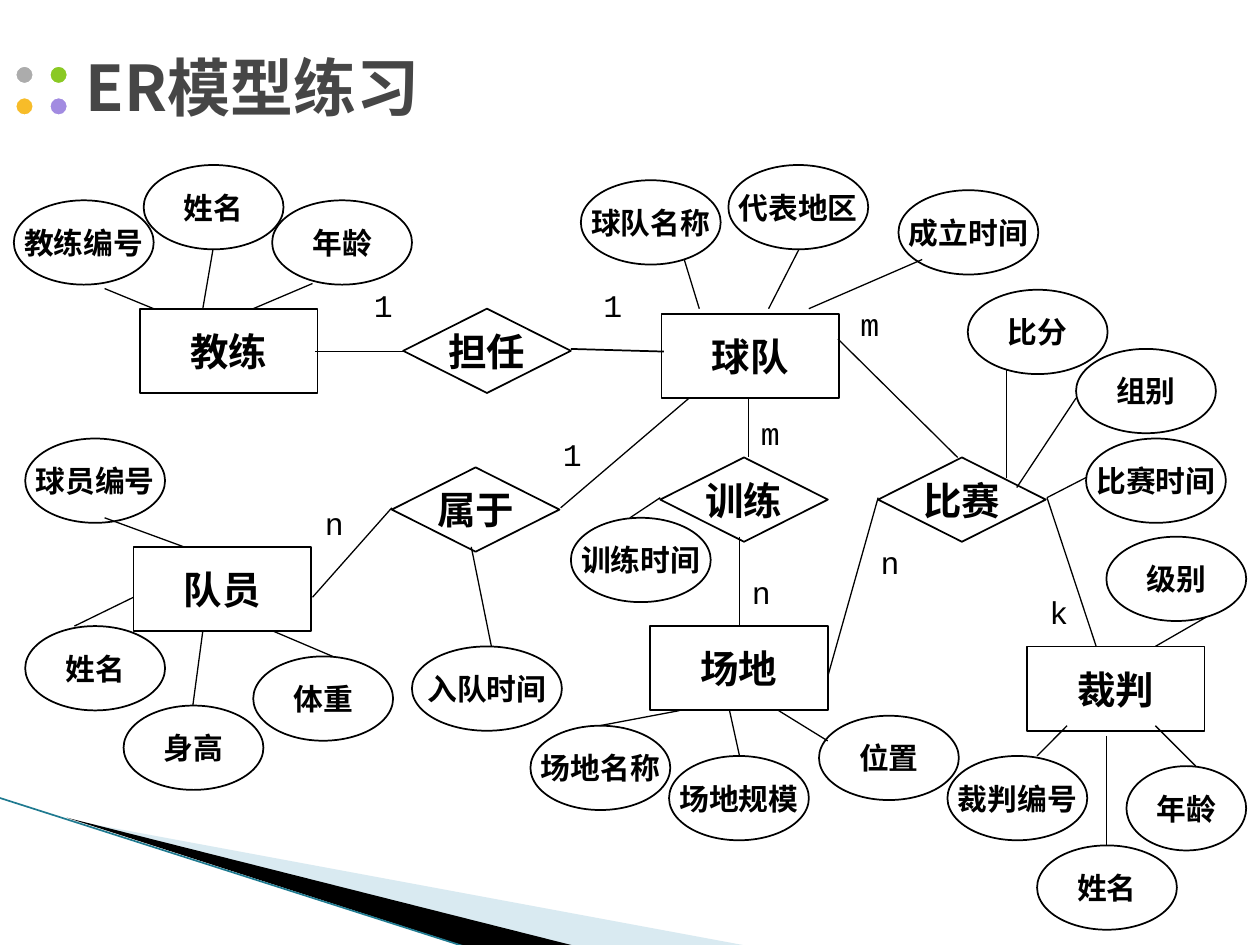
from lxml.etree import SubElement as Sub
from pptx import Presentation
from pptx.dml.color import RGBColor as RGB
from pptx.enum.shapes import MSO_CONNECTOR as Conn, MSO_SHAPE as Kind
from pptx.enum.text import MSO_ANCHOR as Anchor, PP_ALIGN as Align
from pptx.oxml.ns import qn
from pptx.util import Pt

INK = {
    "black": "000000", "white": "FFFFFF", "title": "464646",
    "pale": "A0CBDC", "edge": "1F7A90", "gray": "ACACAC",
    "green": "8AC923", "gold": "F7BC29", "violet": "A28BE1",
}
SANS = "Noto Sans CJK SC"
MONO = "Courier New"

ENTITIES = [
    ("教练", 79.9, 176.4), ("球队", 378, 179.3), ("队员", 76.3, 312.5),
    ("场地", 371.5, 357.8), ("裁判", 586.8, 369.4),
]
RELATIONS = [
    ("担任", 230.4, 176.4), ("属于", 223.9, 267.1),
    ("训练", 377.3, 261.4), ("比赛", 501.8, 261.4),
]
FIELDS = [
    ("教练编号", 7.9, 114.5), ("姓名", 82.1, 94.3), ("年龄", 155.5, 114.5),
    ("球队名称", 331.9, 103), ("代表地区", 416.2, 94.3),
    ("成立时间", 513.4, 108.7), ("球员编号", 14.4, 250.6),
    ("姓名", 14.4, 357.8), ("身高", 70.6, 403.2), ("体重", 144.7, 375.1),
    ("入队时间", 235.4, 369.4, 85.7), ("训练时间", 326.2, 295.9),
    ("场地名称", 303.1, 414.7), ("场地规模", 382.3, 432),
    ("位置", 468, 409), ("级别", 632.2, 306.7), ("裁判编号", 541.4, 432),
    ("姓名", 592.6, 483.1), ("年龄", 643.7, 437.8, 68.4),
    ("比分", 553, 165.6), ("组别", 614.9, 199.4), ("比赛时间", 620.6, 250.6),
]
MAIN_LINKS = [(230.4, 200.9, 180, 200.9), (326.2, 199.4, 379.4, 200.9)]
LINKS = [
    (87.8, 176.4, 59.8, 164.9), (121.7, 142.6, 115.9, 176.4),
    (178.6, 162, 144.7, 176.4), (391, 148.3, 399.6, 176.4),
    (456.5, 142.6, 439.2, 176.4), (462.2, 176.4, 527, 148.3),
    (178.6, 341.3, 223.9, 290.2), (320.4, 290.2, 393.8, 227.5),
    (427.7, 227.5, 427.7, 261.4), (422.6, 306.7, 422.6, 357.8),
    (478.8, 193.7, 547.2, 261.4), (501.8, 284.4, 473, 386.6),
    (598.3, 284.4, 626.4, 369.4), (105.1, 312.5, 59.8, 295.9),
    (76.3, 341.3, 42.5, 357.8), (115.9, 360.7, 110.2, 403.2),
    (156.2, 360.7, 190.1, 375.1), (269.3, 312.5, 280.8, 369.4),
    (377.3, 284.4, 360, 295.9), (388.1, 406.1, 342.7, 414.7),
    (416.9, 406.1, 422.6, 432), (445, 406.1, 473, 423.4),
    (689, 352.8, 660.2, 369.4), (609.8, 414.7, 592.6, 432),
    (632.2, 420.5, 632.2, 483.1), (660.2, 414.7, 683.3, 437.8),
    (575.3, 211, 575.3, 272.9), (614.9, 227.5, 581, 278.6),
    (620.6, 272.9, 598.3, 284.4),
]
COUNTS = [
    ("m", 427.7, 233.3), ("n", 422.6, 324), ("m", 484.6, 170.6),
    ("n", 496.1, 306.7), ("k", 592.6, 335.5), ("1", 337.7, 159.8),
    ("1", 206.6, 159.8), ("n", 178.6, 284.4), ("1", 314.6, 244.8),
]
DOTS = [
    ("gray", 8.6, 37.4), ("green", 28.1, 37.4),
    ("gold", 8.6, 55.4), ("violet", 28.1, 55.4),
]


def tint(name):
    return RGB.from_string(INK[name])


def put(frame, text, size=17, font=SANS, bold=True, ink="black",
        align=Align.CENTER, anchor=Anchor.MIDDLE, wrap=False, gap=0):
    frame.word_wrap = wrap
    frame.vertical_anchor = anchor
    para = frame.paragraphs[0]
    para.alignment = align
    para.space_before = Pt(gap)
    run = para.add_run()
    run.text = text
    run.font.size = Pt(size)
    run.font.bold = bold
    run.font.name = font
    run.font.color.rgb = tint(ink)
    Sub(run.font._element, qn("a:ea")).set("typeface", SANS)


def node(slide, kind, text, left, top, wide, size):
    box = slide.shapes.add_shape(kind, Pt(left), Pt(top), Pt(wide), Pt(48.2))
    box.shadow.inherit = False
    box.fill.background()
    box.line.color.rgb = tint("black")
    box.line.width = Pt(1)
    put(box.text_frame, text, size=size)


def field(slide, text, left, top, wide=79.9):
    node(slide, Kind.OVAL, text, left, top, wide, 17)


def link(slide, ends, width=0.75, ink="black"):
    line = slide.shapes.add_connector(Conn.STRAIGHT, *map(Pt, ends))
    line.line.color.rgb = tint(ink)
    line.line.width = Pt(width)
    Sub(line._element.spPr, qn("a:effectLst"))


def count(slide, text, left, top):
    box = slide.shapes.add_textbox(Pt(left), Pt(top), Pt(28.1), Pt(28.8))
    put(box.text_frame, text, size=18, font=MONO, bold=False,
        align=Align.LEFT, anchor=Anchor.TOP, wrap=True, gap=2)


def wedge(slide, points, ink, alpha=None):
    first, *rest = [(Pt(x), Pt(y)) for x, y in points]
    pen = slide.shapes.build_freeform(*first)
    pen.add_line_segments(rest, close=True)
    shape = pen.convert_to_shape()
    shape.shadow.inherit = False
    shape.fill.solid()
    shape.fill.fore_color.rgb = tint(ink)
    shape.line.fill.background()
    if alpha:
        color = shape._element.spPr.find(qn("a:solidFill"))[0]
        Sub(color, qn("a:alpha")).set("val", str(alpha * 1000))


def dot(slide, ink, left, top):
    shape = slide.shapes.add_shape(
        Kind.OVAL, Pt(left), Pt(top), Pt(10.8), Pt(10.8))
    shape.shadow.inherit = False
    shape.fill.solid()
    shape.fill.fore_color.rgb = tint(ink)
    shape.line.color.rgb = tint("white")
    shape.line.width = Pt(1.5)


def head(slide, text):
    title = slide.shapes.title
    title.left, title.top = Pt(41.8), Pt(21.6)
    title.width, title.height = Pt(607.7), Pt(55.4)
    put(title.text_frame, text, size=36, ink="title",
        align=Align.LEFT, wrap=True)


def main():
    deck = Presentation()
    deck.slide_width, deck.slide_height = Pt(720), Pt(540)
    slide = deck.slides.add_slide(deck.slide_layouts[5])
    wedge(slide, [(39.6, 468.5), (428.4, 540.7), (328.3, 540.7)], "pale", 40)
    wedge(slide, [(38.2, 467.3), (329, 540.7), (267.8, 541.4)], "black")
    link(slide, (-0.7, 455.8, 267.1, 541.4), 0.95, "edge")
    for item in DOTS:
        dot(slide, *item)
    head(slide, "ER模型练习")
    for item in ENTITIES:
        node(slide, Kind.RECTANGLE, *item, 101.5, 22)
    for item in RELATIONS:
        node(slide, Kind.FLOWCHART_DECISION, *item, 95.8, 22)
    for item in FIELDS:
        field(slide, *item)
    for ends in MAIN_LINKS:
        link(slide, ends, 1)
    for ends in LINKS:
        link(slide, ends)
    for item in COUNTS:
        count(slide, *item)
    deck.save("out.pptx")


if __name__ == "__main__":
    main()
